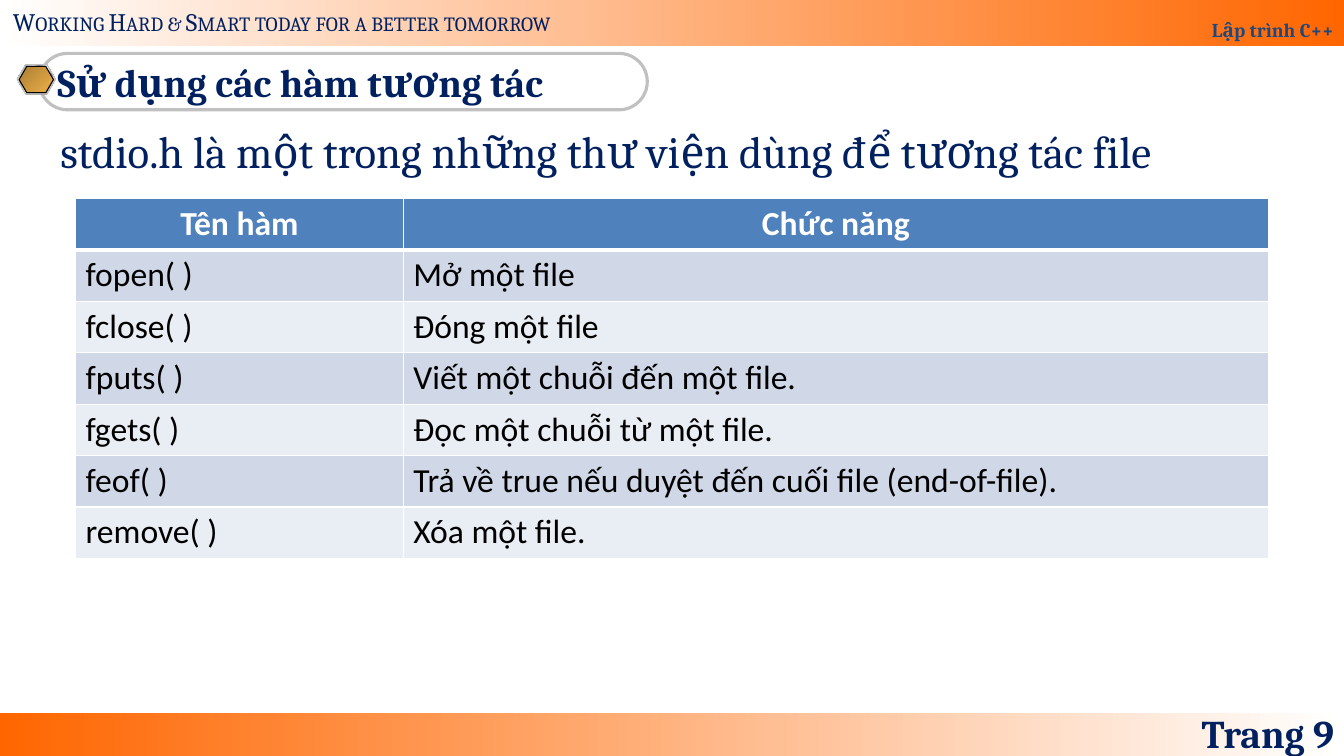
import pptx
import pptx.dml.color
import pptx.enum.shapes
import pptx.enum.text
import pptx.oxml.ns
import pptx.util
from lxml import etree

Inches, Pt = pptx.util.Inches, pptx.util.Pt
SHAPE = pptx.enum.shapes.MSO_SHAPE
ALIGN = pptx.enum.text.PP_ALIGN
ANCHOR = pptx.enum.text.MSO_ANCHOR
qn = pptx.oxml.ns.qn

NAVY, BLUE, ORANGE, WHITE, SILVER = "002060", "1F497D", "FF6600", "FFFFFF", "C0C0C0"
HEADER, BANDS = "4F81BD", ("D0D8E8", "E9EDF4")
STEEL = [(0, "E6E6E6"), (7, "7D8496"), (26, "E6E6E6"), (34, "7D8496"),
         (46, "E6E6E6"), (50, "FFFFFF"), (54, "E6E6E6"), (66, "7D8496"),
         (74, "E6E6E6"), (93, "7D8496"), (100, "E6E6E6")]
GOLD = [(0, "AB7E34"), (100, "EFB049")]

FUNCTIONS = [
    ("Tên hàm", "Chức năng"),
    ("fopen( )", "Mở một file"),
    ("fclose( )", "Đóng một file"),
    ("fputs( )", "Viết một chuỗi đến một file."),
    ("fgets( )", "Đọc một chuỗi từ một file."),
    ("feof( )", "Trả về true nếu duyệt đến cuối file (end-of-file)."),
    ("remove( )", "Xóa một file."),
]


def rgb(color):
    return pptx.dml.color.RGBColor.from_string(color)


class Deck:
    """Holds the text style and the current slide."""

    font, color = "Cambria", NAVY

    def __init__(self):
        self.prs = pptx.Presentation()
        self.prs.slide_width, self.prs.slide_height = Inches(13.33), Inches(7.5)
        self.s = self.prs.slides.add_slide(self.prs.slide_layouts[5])

    def add_text(self, tf, text, size, color=None, bold=False, font=None,
                 align=ALIGN.LEFT, anchor=ANCHOR.TOP, wrap=True):
        tf.word_wrap = wrap
        tf.vertical_anchor = anchor
        p = tf.paragraphs[0]
        p.alignment = align
        r = p.add_run()
        r.text = text
        r.font.name, r.font.size, r.font.bold = font or self.font, Pt(size), bold
        r.font.color.rgb = rgb(color or self.color)
        return r

    def title(self, box, text, size):
        sp = self.s.shapes.title
        sp.left, sp.top, sp.width, sp.height = map(Inches, box)
        tf = sp.text_frame
        tf.auto_size = pptx.enum.text.MSO_AUTO_SIZE.NONE
        tf.margin_left = Inches(0.18)
        self.add_text(tf, text, size, bold=True, anchor=ANCHOR.MIDDLE, wrap=False)

    def text(self, box, text, size, **style):
        tf = self.s.shapes.add_textbox(*map(Inches, box)).text_frame
        return self.add_text(tf, text, size, **style)

    def shape(self, kind, box, fill=None, angle=0, line=None, width=0.75, adj=None):
        """Draw a preset shape; fill is a colour, a list of gradient stops or None."""
        sp = self.s.shapes.add_shape(kind, *map(Inches, box))
        sp.shadow.inherit = False
        if adj is not None:
            sp.adjustments[0] = adj
        if fill is None:
            sp.fill.background()
        elif isinstance(fill, str):
            sp.fill.solid()
            sp.fill.fore_color.rgb = rgb(fill)
        else:
            self.gradient(sp, fill, angle)
        if line:
            sp.line.color.rgb = rgb(line)
            sp.line.width = Pt(width)
        else:
            sp.line.fill.background()
        return sp

    def gradient(self, sp, stops, angle):
        sp.fill.gradient()
        sp.fill.gradient_angle = -angle % 360
        stop_list = next(sp._element.spPr.iter(qn("a:gsLst")))
        for old in list(stop_list):
            stop_list.remove(old)
        for pos, color in stops:
            gs = etree.SubElement(stop_list, qn("a:gs"), pos=str(pos * 1000))
            etree.SubElement(gs, qn("a:srgbClr"), val=color)

    def border(self, cell, side, width):
        tcPr = cell._tc.get_or_add_tcPr()
        ln = etree.SubElement(tcPr, qn("a:ln" + side), w=str(Pt(width)))
        fill = etree.SubElement(ln, qn("a:solidFill"))
        etree.SubElement(fill, qn("a:srgbClr"), val=WHITE)

    def table(self, left, top, widths, row_height, rows, size):
        """Draw a banded table whose first row is the heading."""
        box = left, top, sum(widths), row_height * len(rows)
        table = self.s.shapes.add_table(len(rows), len(widths), *map(Inches, box)).table
        for column, width in zip(table.columns, widths):
            column.width = Inches(width)
        for i, row in enumerate(rows):
            table.rows[i].height = Inches(row_height)
            head = i == 0
            for j, text in enumerate(row):
                cell = table.cell(i, j)
                edges = {"L": 1, "R": 1, "T": 3 if i == 1 else 1, "B": 3 if head else 1}
                for side, width in edges.items():
                    self.border(cell, side, width)
                cell.fill.solid()
                cell.fill.fore_color.rgb = rgb(HEADER if head else BANDS[(i - 1) % 2])
                self.add_text(cell.text_frame, text, size, font="Calibri", bold=head,
                              color=WHITE if head else "000000",
                              align=ALIGN.CENTER if head else ALIGN.LEFT)


def main():
    d = Deck()

    # Header and footer bands
    d.shape(SHAPE.RECTANGLE, (0, 7.07, 13.33, 0.43), [(0, ORANGE), (100, WHITE)])
    band = d.shape(SHAPE.RECTANGLE, (0, 0, 13.33, 0.46), [(0, WHITE), (100, ORANGE)])
    d.add_text(band.text_frame, "Lập trình C++", 14, color=BLUE, bold=True,
               align=ALIGN.RIGHT, anchor=ANCHOR.BOTTOM)
    band.text_frame.paragraphs[0].line_spacing = 1.8
    motto = d.text((0.03, 0.01, 5.9, 0.4),
                   "Working Hard & Smart today for a better tomorrow", 18, wrap=False)
    motto._r.get_or_add_rPr().set("cap", "small")

    # Title pill with its hexagon badge
    pill = (0.39, 0.53, 6.03, 0.56)
    d.shape(SHAPE.ROUNDED_RECTANGLE, pill, line=SILVER, width=2.25, adj=0.5)
    d.title(pill, "Sử dụng các hàm tương tác", 28)
    for box, fill, line in (((0.17, 0.65, 0.38, 0.29), "808080", None),
                            ((0.17, 0.64, 0.38, 0.29), STEEL, SILVER),
                            ((0.19, 0.66, 0.34, 0.26), GOLD, "000000")):
        d.shape(SHAPE.HEXAGON, box, fill, angle=45, line=line, adj=0.29)

    d.text((10.22, 7.07, 3.11, 0.4), "Trang 9", 28, bold=True,
           align=ALIGN.RIGHT, anchor=ANCHOR.MIDDLE)
    d.text((0.5, 1.18, 12.33, 5.74),
           "stdio.h là một trong những thư viện dùng để tương tác file", 32)
    d.table(0.75, 1.97, (3.25, 8.58), 0.51, FUNCTIONS, 24)

    d.prs.save("out.pptx")


if __name__ == "__main__":
    main()
